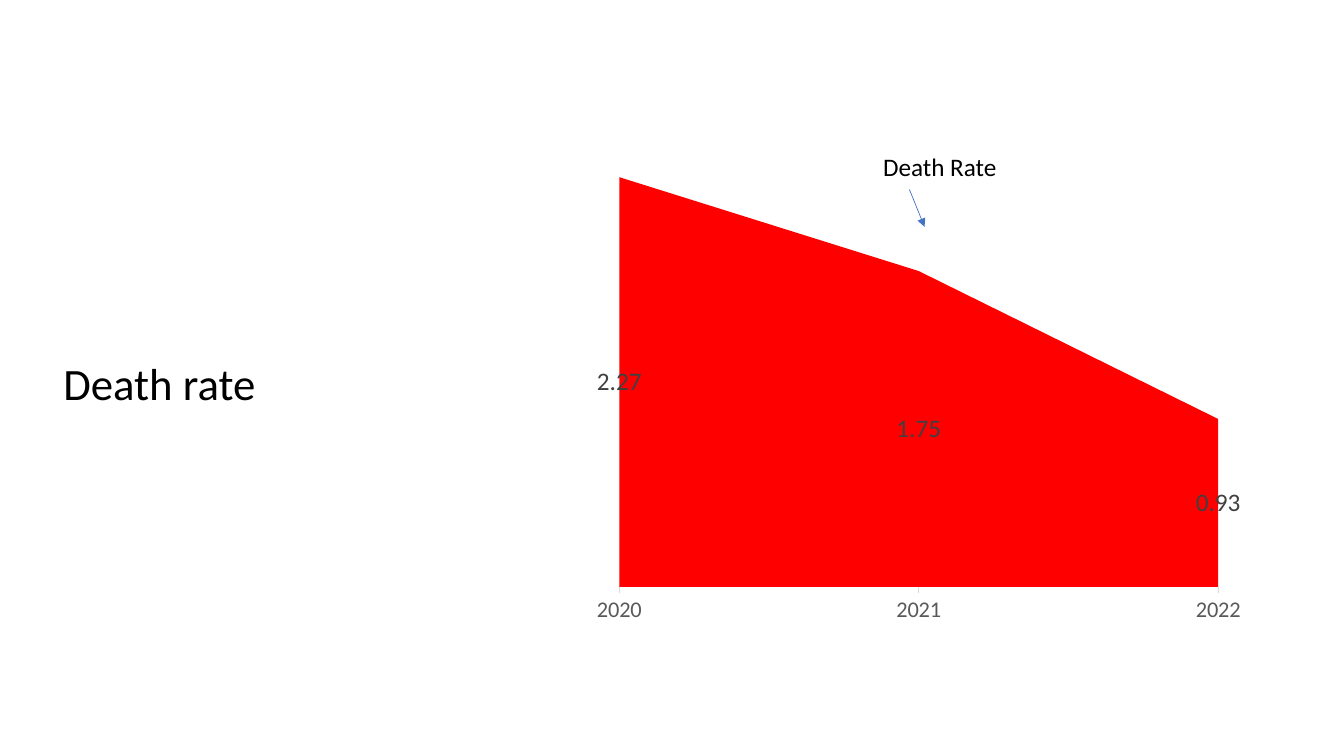
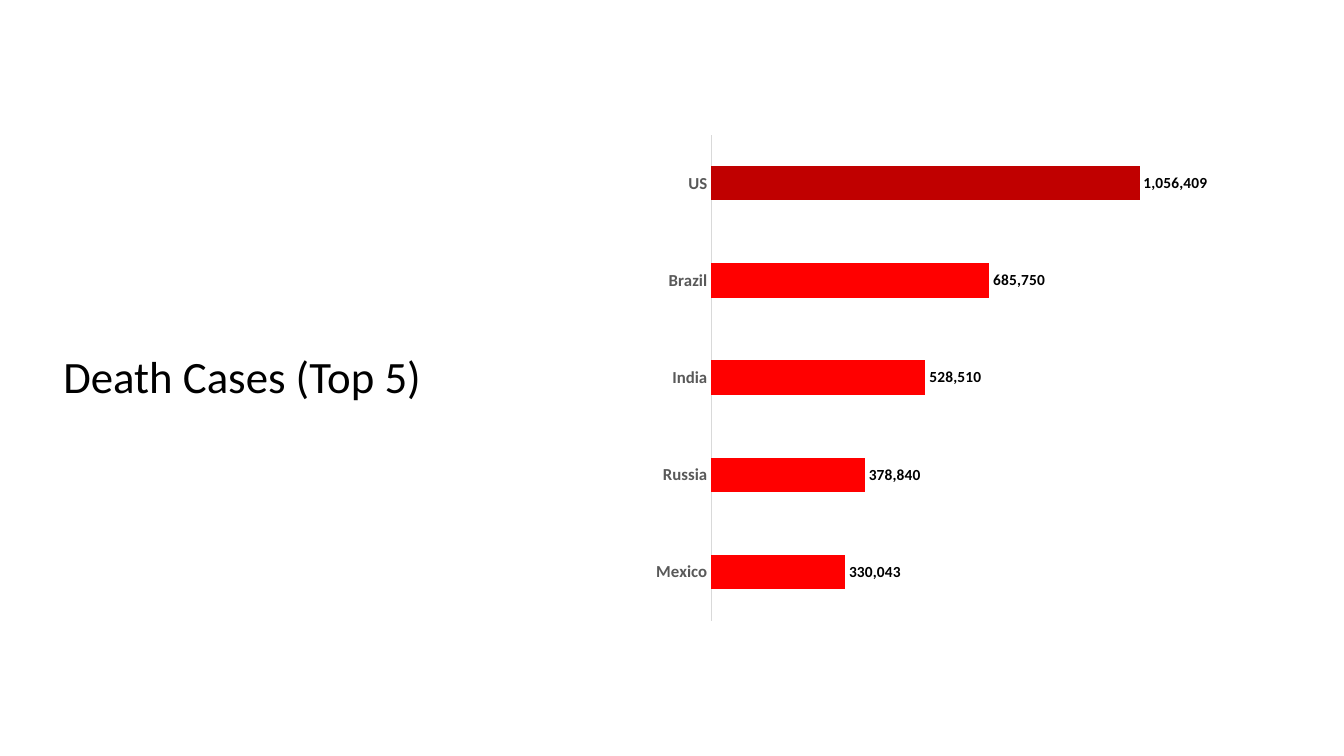
from dataclasses import dataclass, field
from typing import Optional

from lxml.etree import SubElement as Sub
from pptx import Presentation
from pptx.chart.chart import Chart
from pptx.chart.data import CategoryChartData as ChartData
from pptx.dml.color import RGBColor as RGB
from pptx.enum.chart import XL_CHART_TYPE as Kind
from pptx.enum.chart import XL_LABEL_POSITION as Spot
from pptx.enum.chart import XL_TICK_LABEL_POSITION as TickSpot
from pptx.enum.chart import XL_TICK_MARK as Tick
from pptx.enum.shapes import MSO_CONNECTOR as Link
from pptx.enum.text import MSO_ANCHOR as Anchor
from pptx.oxml import parse_xml
from pptx.oxml.ns import nsdecls, qn
from pptx.slide import Slide
from pptx.util import Inches, Pt

Box = tuple[float, float, float, float]


@dataclass(frozen=True)
class Theme:
    font: str = "Calibri"
    black: RGB = RGB(0x00, 0x00, 0x00)
    dark: RGB = RGB(0x40, 0x40, 0x40)
    gray: RGB = RGB(0x59, 0x59, 0x59)
    pale: RGB = RGB(0xD9, 0xD9, 0xD9)
    red: RGB = RGB(0xFF, 0x00, 0x00)
    deep: RGB = RGB(0xC0, 0x00, 0x00)
    blue: RGB = RGB(0x44, 0x72, 0xC4)
    title: int = 32
    note: int = 18
    base: int = 10


THEME = Theme()
CHART_BOX: Box = (5.67, 1.08, 6.75, 5.33)


@dataclass(frozen=True)
class Style:
    size: int
    color: RGB
    bold: bool = False


@dataclass(frozen=True)
class Plot:
    kind: Kind
    data: dict[str, float]
    top: float
    inner: Box
    axis: Style
    label: Style
    tick: Tick
    fmt: str
    spot: Optional[Spot] = None
    gap: Optional[int] = None
    accents: dict[int, RGB] = field(default_factory=dict)


@dataclass(frozen=True)
class Page:
    title: str
    box: Box
    plot: Plot


PAGES = (
    Page("Death rate", (0.53, 3.37, 4.3, 0.75), Plot(
        Kind.AREA, {"2020": 2.27, "2021": 1.75, "2022": 0.93}, 2.5,
        (0.07, 0.05, 0.88, 0.84), Style(16, THEME.gray),
        Style(18, THEME.dark), Tick.OUTSIDE, "General")),
    Page("Death Cases (Top 5)", (0.53, 3.04, 4.3, 1.01), Plot(
        Kind.BAR_CLUSTERED,
        {"Mexico": 330043, "Russia": 378840, "India": 528510,
         "Brazil": 685750, "US": 1056409}, 1_200_000,
        (0.205, 0.048, 0.715, 0.905), Style(12, THEME.gray, True),
        Style(11, THEME.black, True), Tick.NONE, "#,##0",
        Spot.OUTSIDE_END, 182, {4: THEME.deep})),
)


def set_font(font, style: Style) -> None:
    font.name = THEME.font
    font.size = Pt(style.size)
    font.bold = style.bold
    font.color.rgb = style.color


def add_text(slide: Slide, box: Box, text: str, style: Style,
             anchor: Anchor = Anchor.TOP, pitch: float = 1.0) -> None:
    frame = slide.shapes.add_textbox(*map(Inches, box)).text_frame
    frame.word_wrap = True
    frame.vertical_anchor = anchor
    para = frame.paragraphs[0]
    para.line_spacing = pitch
    run = para.add_run()
    run.text = text
    set_font(run.font, style)


def set_inner(chart: Chart, inner: Box) -> None:
    """Fix the inner plot area, in fractions of the chart."""
    area = chart.element.find(".//" + qn("c:plotArea"))
    for old in area.findall(qn("c:layout")):
        area.remove(old)
    layout = parse_xml(f"<c:layout {nsdecls('c')}><c:manualLayout/></c:layout>")
    parts = [("layoutTarget", "inner"), ("xMode", "edge"), ("yMode", "edge")]
    for tag, val in parts + list(zip("xywh", inner)):
        Sub(layout[0], qn(f"c:{tag}")).set("val", str(val))
    area.insert(0, layout)


def style_axes(chart: Chart, plot: Plot) -> None:
    cat, val = chart.category_axis, chart.value_axis
    cat.has_major_gridlines = val.has_major_gridlines = False
    cat.major_tick_mark = plot.tick
    cat.minor_tick_mark = Tick.NONE
    cat.tick_label_position = TickSpot.NEXT_TO_AXIS
    cat.format.line.color.rgb = THEME.pale
    cat.format.line.width = Pt(0.75)
    set_font(cat.tick_labels.font, plot.axis)
    val.minimum_scale, val.maximum_scale = 0, plot.top
    val.visible = False
    if plot.kind == Kind.AREA:
        chart.element.find(".//" + qn("c:crossBetween")).set("val", "midCat")


def add_plot(slide: Slide, plot: Plot) -> None:
    data = ChartData(number_format=plot.fmt)
    data.categories = list(plot.data)
    data.add_series("Series 1", list(plot.data.values()))
    chart = slide.shapes.add_chart(
        plot.kind, *map(Inches, CHART_BOX), data).chart
    chart.has_title = chart.has_legend = False
    set_font(chart.font, Style(THEME.base, THEME.black))
    set_inner(chart, plot.inner)
    style_axes(chart, plot)

    group = chart.plots[0]
    group.vary_by_categories = False
    if plot.gap is not None:
        group.gap_width = plot.gap
    series = group.series[0]
    series.format.fill.solid()
    series.format.fill.fore_color.rgb = THEME.red
    for index, color in plot.accents.items():
        fill = series.points[index].format.fill
        fill.solid()
        fill.fore_color.rgb = color

    group.has_data_labels = True
    labels = group.data_labels
    labels.show_value = True
    labels.number_format = plot.fmt
    labels.number_format_is_linked = False
    if plot.spot is not None:
        labels.position = plot.spot
    set_font(labels.font, plot.label)


def add_arrow(slide: Slide, start: tuple[float, float],
              end: tuple[float, float]) -> None:
    arrow = slide.shapes.add_connector(
        Link.STRAIGHT, *map(Inches, start + end))
    arrow.line.color.rgb = THEME.blue
    arrow.line.width = Pt(0.5)
    Sub(arrow.line._get_or_add_ln(), qn("a:tailEnd")).set("type", "triangle")
    Sub(arrow.element.spPr, qn("a:effectLst"))


def add_page(deck, page: Page) -> Slide:
    slide = deck.slides.add_slide(deck.slide_layouts[6])
    add_text(slide, page.box, page.title, Style(THEME.title, THEME.black),
             Anchor.BOTTOM, 0.9)
    add_plot(slide, page.plot)
    return slide


def main() -> None:
    deck = Presentation()
    deck.slide_width, deck.slide_height = Inches(13.33), Inches(7.5)
    rate, _ = [add_page(deck, page) for page in PAGES]
    add_arrow(rate, (9.02, 1.88), (9.17, 2.25))
    add_text(rate, (8.66, 1.45, 1.41, 0.4), "Death Rate",
             Style(THEME.note, THEME.black))
    deck.save("out.pptx")


if __name__ == "__main__":
    main()
